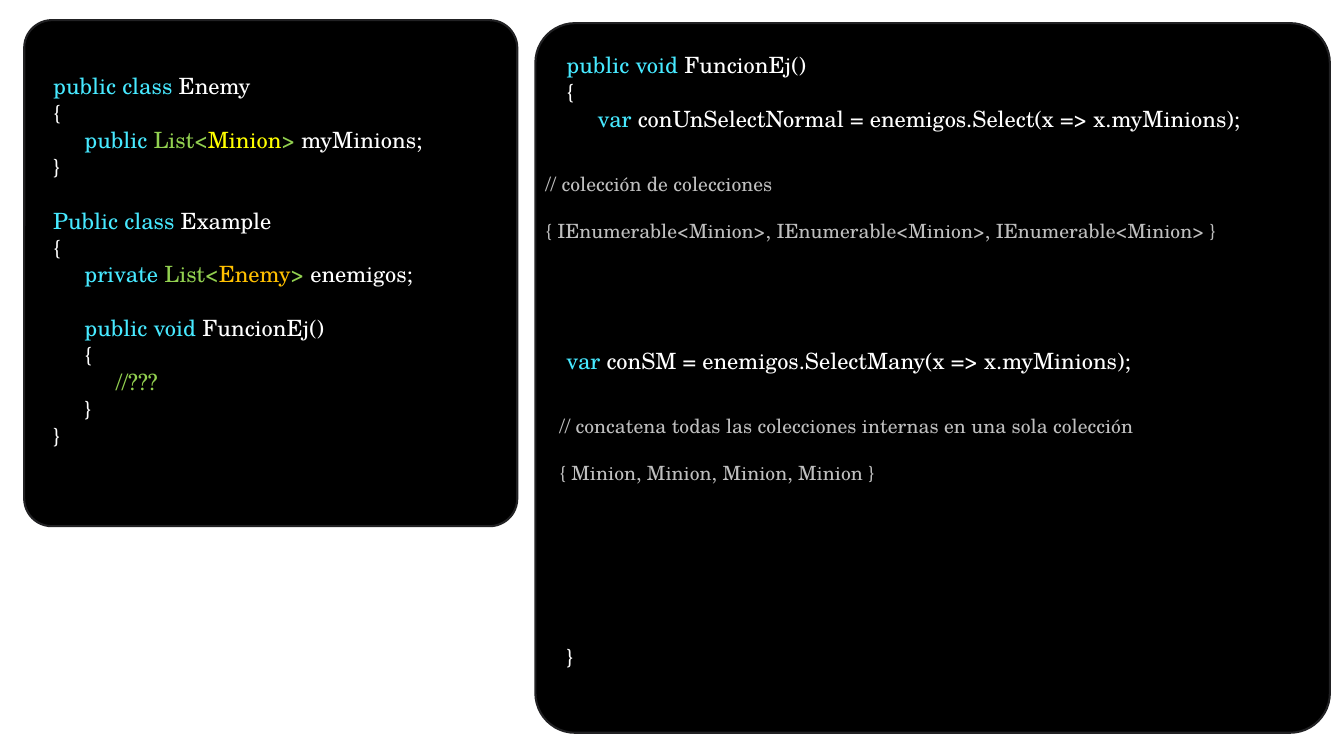
import pptx
import pptx.dml.color
import pptx.enum.shapes
import pptx.enum.text
import pptx.util

Inches = pptx.util.Inches
Pt = pptx.util.Pt

COLORS = {
    "keyword": "47E9FF", "plain": "FFFFFF", "type": "92D050", "minion": "FFFF00",
    "enemy": "FFC000", "note": "BFBFBF", "panel": "000000", "border": "212123",
}
FONT = "TeX Gyre Schola"
INDENT = 0.31       # inches per code level
LINE_SPACING = 1.2  # line height relative to font size

# Rounded panels: left, top, width, height
PANELS = [(0.24, 0.2, 4.89, 5.02), (5.31, 0.23, 7.88, 7.04)]

# Each line: indent level, empty lines above, (text, color) runs
CLASSES = [
    (0, 0, [("public class ", "keyword"), ("Enemy", "plain")]),
    (0, 0, [("{", "plain")]),
    (1, 0, [("public ", "keyword"), ("List<", "type"), ("Minion", "minion"),
            ("> ", "type"), ("myMinions;", "plain")]),
    (0, 0, [("}", "plain")]),
    (0, 1, [("Public class ", "keyword"), ("Example", "plain")]),
    (0, 0, [("{", "plain")]),
    (1, 0, [("private ", "keyword"), ("List<", "type"), ("Enemy", "enemy"),
            (">", "type"), (" enemigos;", "plain")]),
    (1, 1, [("public void ", "keyword"), ("FuncionEj()", "plain")]),
    (1, 0, [("{", "plain")]),
    (2, 0, [("//???", "type")]),
    (1, 0, [("}", "plain")]),
    (0, 0, [("}", "plain")]),
]
FUNCTION = [
    (0, 0, [("public void ", "keyword"), ("FuncionEj()", "plain")]),
    (0, 0, [("{", "plain")]),
    (1, 0, [("var ", "keyword"),
            ("conUnSelectNormal = enemigos.Select(x => x.myMinions);", "plain")]),
    (0, 8, [("var ", "keyword"),
            ("conSM = enemigos.SelectMany(x => x.myMinions);", "plain")]),
    (0, 10, [("}", "plain")]),
]
SELECT_NOTE = [
    (0, 0, [("// colección de colecciones", "note")]),
    (0, 1, [("{ IEnumerable<Minion>, IEnumerable<Minion>, IEnumerable<Minion> }", "note")]),
]
SELECT_MANY_NOTE = [
    (0, 0, [("// concatena todas las colecciones internas en una sola colección", "note")]),
    (0, 1, [("{ Minion, Minion, Minion, Minion }", "note")]),
]

# Text blocks: box, font size, lines
TEXT_BLOCKS = [
    ((0.43, 0.67, 4.37, 4.14), 16, CLASSES),
    ((5.52, 0.46, 7.41, 6.29), 16, FUNCTION),
    ((5.31, 1.66, 7.88, 0.81), 14, SELECT_NOTE),
    ((5.45, 4.06, 7.63, 0.81), 14, SELECT_MANY_NOTE),
]


def color(name):
    return pptx.dml.color.RGBColor.from_string(COLORS[name])


def add_panel(slide, box):
    shape = slide.shapes.add_shape(
        pptx.enum.shapes.MSO_SHAPE.ROUNDED_RECTANGLE, *map(Inches, box))
    shape.adjustments[0] = 0.056
    shape.shadow.inherit = False
    shape.fill.solid()
    shape.fill.fore_color.rgb = color("panel")
    shape.line.color.rgb = color("border")
    shape.line.width = Pt(1.5)


def add_code(slide, box, size, lines):
    frame = slide.shapes.add_textbox(*map(Inches, box)).text_frame
    frame.word_wrap = True
    frame.vertical_anchor = pptx.enum.text.MSO_ANCHOR.TOP
    for index, (level, empty_lines, runs) in enumerate(lines):
        paragraph = frame.add_paragraph() if index else frame.paragraphs[0]
        paragraph.space_before = Pt(empty_lines * size * LINE_SPACING)
        paragraph._p.get_or_add_pPr().set("marL", str(Inches(level * INDENT)))
        for text, color_name in runs:
            run = paragraph.add_run()
            run.text = text
            for name, value in {"name": FONT, "size": Pt(size)}.items():
                setattr(run.font, name, value)
            run.font.color.rgb = color(color_name)


def main():
    presentation = pptx.Presentation()
    presentation.slide_width = Inches(13.33)
    presentation.slide_height = Inches(7.5)
    slide = presentation.slides.add_slide(presentation.slide_layouts[6])

    # Black panels, then the code and its notes
    for box in PANELS:
        add_panel(slide, box)
    for box, size, lines in TEXT_BLOCKS:
        add_code(slide, box, size, lines)

    presentation.save("out.pptx")


if __name__ == "__main__":
    main()
